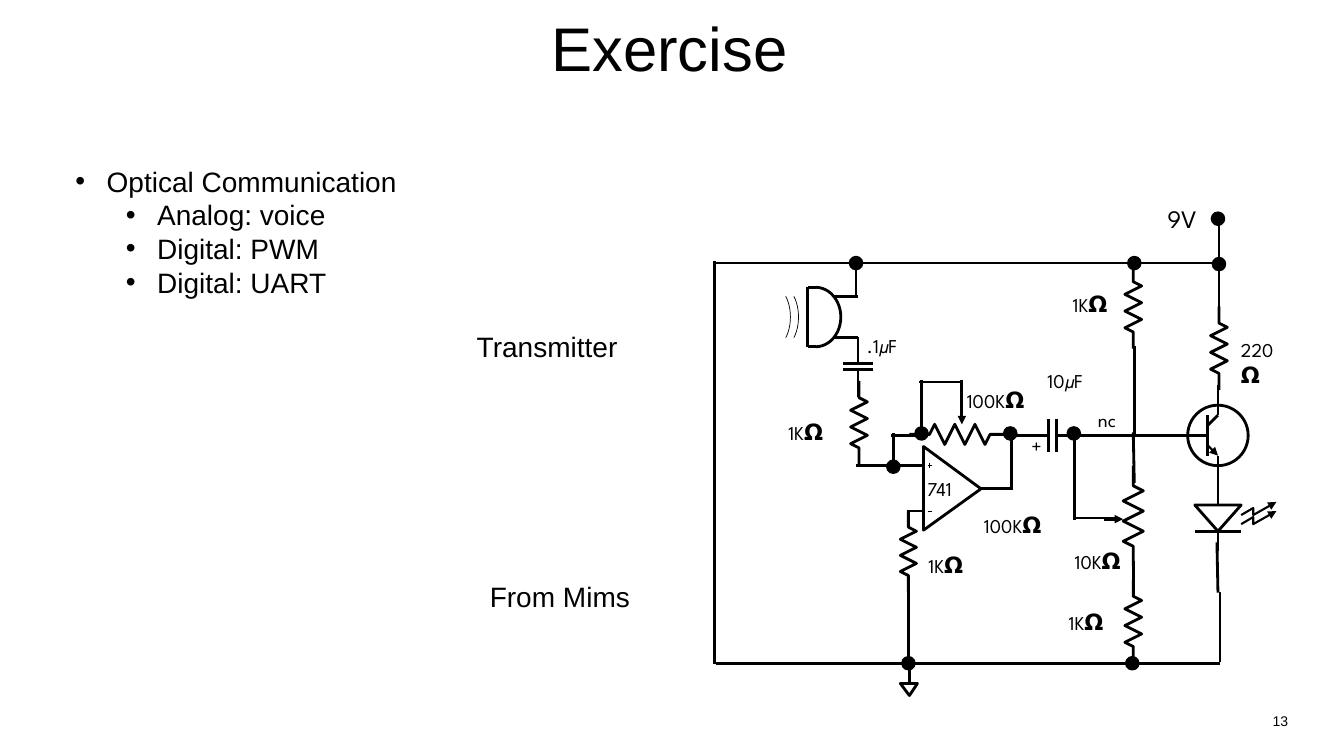
from dataclasses import dataclass
from itertools import groupby
from typing import Any

from lxml import etree
from pptx import Presentation
from pptx.dml.color import RGBColor
from pptx.enum.shapes import MSO_CONNECTOR, MSO_SHAPE
from pptx.enum.text import MSO_ANCHOR, MSO_AUTO_SIZE, PP_ALIGN
from pptx.oxml.ns import qn
from pptx.util import Pt

PX = 9144
COLORS = {"ink": "000000"}
BODY_FONT, LABEL_FONT = "Arial", "League Spartan"
SYMBOL_SIZES = {"𝜇": 12, "𝝮": 16}
LABEL_SIZE = 14
STRAIGHT = MSO_CONNECTOR.STRAIGHT
ELLIPSE, ARC, TRIANGLE = MSO_SHAPE.OVAL, MSO_SHAPE.ARC, MSO_SHAPE.ISOSCELES_TRIANGLE
CENTER, MIDDLE, TOP = PP_ALIGN.CENTER, MSO_ANCHOR.MIDDLE, MSO_ANCHOR.TOP
GROW = MSO_AUTO_SIZE.SHAPE_TO_FIT_TEXT


def ink():
    return RGBColor.from_string(COLORS["ink"])


def set_font(paragraph, name, size):
    paragraph.font.name = name
    paragraph.font.size = Pt(size)
    paragraph.font.color.rgb = ink()


def text_frame(shapes, box, anchor=TOP, wrap=True, grow=True):
    frame = shapes.add_textbox(*(v * PX for v in box)).text_frame
    frame.word_wrap = wrap
    frame.vertical_anchor = anchor
    if grow:
        frame.auto_size = GROW
    return frame


def stroke(shape, weight, arrow):
    shape.line.color.rgb = ink()
    shape.line.width = Pt(weight)
    if arrow:
        line = shape.element.spPr.find(qn("a:ln"))
        etree.SubElement(line, qn("a:tailEnd"), type="triangle")


@dataclass
class Pen:
    """Draws circuit parts relative to an origin."""
    shapes: Any
    left: int
    top: int

    def group(self, x, y):
        return Pen(self.shapes.add_group_shape().shapes, self.left + x, self.top + y)

    def at(self, x, y):
        return round((self.left + x) * PX), round((self.top + y) * PX)

    def wire(self, x1, y1, x2, y2, weight=2, arrow=False):
        wire = self.shapes.add_connector(STRAIGHT, *self.at(x1, y1), *self.at(x2, y2))
        stroke(wire, weight, arrow)
        etree.SubElement(wire.element.spPr, qn("a:effectLst"))

    def outline(self, points, close=False, weight=2, arrow=False):
        start, *rest = [self.at(*point) for point in points]
        builder = self.shapes.build_freeform(*start)
        builder.add_line_segments(rest, close=close)
        self.finish(builder.convert_to_shape(), weight, arrow)

    def preset(self, kind, x, y, width, height, weight=2, filled=False):
        shape = self.shapes.add_shape(kind, *self.at(x, y), width * PX, height * PX)
        return self.finish(shape, weight, filled=filled)

    def finish(self, shape, weight, arrow=False, filled=False):
        shape.shadow.inherit = False
        if filled:
            shape.fill.solid()
            shape.fill.fore_color.rgb = ink()
        else:
            shape.fill.background()
        stroke(shape, weight, arrow)
        return shape

    def arc(self, x, y, width, height, half_angle, weight=2):
        arc = self.preset(ARC, x, y, width, height, weight)
        arc.adjustments[0] = (360 - half_angle) * 0.6
        arc.adjustments[1] = half_angle * 0.6

    def label(self, x, y, width, height, text, size=LABEL_SIZE, wrap=False):
        box = (self.left + x, self.top + y, width, height)
        paragraph = text_frame(self.shapes, box, wrap=wrap).paragraphs[0]
        for run_size, letters in groupby(text, lambda c: SYMBOL_SIZES.get(c, size)):
            run = paragraph.add_run()
            run.text = "".join(letters)
            if run_size != size:
                run.font.size = Pt(run_size)
        set_font(paragraph, LABEL_FONT, size)


def resistor(pen, x, y, length, turned=False):
    half = length / 10
    sides = (0, 0, half, -half, half, -half, half, -half, 0, 0)
    steps = (0, 0.2, 0.25, 0.35, 0.45, 0.55, 0.65, 0.75, 0.8, 1)
    points = [(side, step * length) for side, step in zip(sides, steps)]
    pen.outline([(x - t, y + s) if turned else (x + s, y + t) for s, t in points])


def potentiometer(pen, x, y, wiper, turned=False):
    part = pen.group(x, y)
    resistor(part, 0, 0, 100, turned)
    ends = (-wiper, -29, -wiper, -10) if turned else (-29, wiper, -10, wiper)
    part.wire(*ends, arrow=True)


def capacitor(pen, x, y, lead, gap, plate, turned=False):
    part = pen.group(x, y)
    for side in (-1, 1):
        near, far = side * gap, side * lead
        part.wire(*((near, 0, far, 0) if turned else (0, near, 0, far)))
        part.wire(*((near, -plate, near, plate) if turned else (-plate, near, plate, near)))


def ground(pen, x, y):
    part = pen.group(x, y)
    part.wire(0, 0, 0, 21)
    part.outline([(0, 33), (8, 21), (-9, 21)], close=True)


def amplifier(pen, x, y):
    part = pen.group(x, y)
    for pin in ((0, -23, 16, -23), (0, 22, 16, 22), (73, 0, 89, 0)):
        part.wire(*pin)
    part.outline([(73, 0), (16, 41), (16, -42)], close=True)
    for sign in ((20, 22, 24, 22), (22, -26, 22, -21), (20, -23, 24, -23)):
        part.wire(*sign, weight=0.5)


def led(pen, x, y):
    part = pen.group(x, y)
    part.preset(TRIANGLE, -23, 0, 46, 26).rotation = 180
    for lead in ((0, 26, 0, 46), (0, 0, 0, -20), (-23, 26, 23, 26)):
        part.wire(*lead)
    for drop in (0, 9):
        ray = [(23, 10), (35, 3), (35, 10), (58, -3)]
        part.outline([(rx, ry + drop) for rx, ry in ray], weight=1.5, arrow=True)


def transistor(pen, x, y):
    part = pen.group(x, y)
    part.preset(ELLIPSE, -30, -30, 60, 60)
    for lead in ((0, -50, 0, -20), (0, 20, 0, 50), (-10, -20, -10, 20), (0, -20, -10, -10)):
        part.wire(*lead)
    part.wire(-10, 10, 0, 20, weight=1.5, arrow=True)
    part.wire(-10, 0, -40, 0, weight=1.75)


def microphone(pen, x, y):
    part = pen.group(x, y)
    part.arc(-17, 0, 50, 59, 90)
    for line in ((0, 0, 0, 59), (8, 59, 0, 59), (8, 0, 0, 0), (26, 9, 50, 9), (25, 50, 50, 50)):
        part.wire(*line)
    for wave in (-42, -50):
        part.arc(wave, 0, 33, 59, 60, weight=0.5)


def circuit(shapes, left, top):
    pen = Pen(shapes, left, top)
    for wire in ((8, 61, 508, 61), (9, 459, 9, 59), (10, 458, 510, 458),
                 (383, 232, 423, 232), (413, 232, 473, 232), (366, 316, 366, 226),
                 (425, 279, 424, 229), (303, 286, 303, 232), (424, 391, 424, 357),
                 (508, 388, 507, 338), (366, 314, 406, 314), (273, 285, 303, 285),
                 (149, 262, 209, 262), (149, 93, 149, 59), (509, 116, 509, 60),
                 (184, 232, 214, 232), (186, 260, 186, 230), (212, 179, 254, 179),
                 (214, 231, 214, 177), (254, 207, 254, 177), (509, 75, 509, 19),
                 (510, 457, 510, 387), (201, 454, 201, 384), (425, 233, 425, 143)):
        pen.wire(*wire)
    for x, y, length in ((509, 104, 83), (201, 307, 80), (152, 178, 83),
                         (424, 375, 83), (424, 63, 83)):
        resistor(pen, x, y, length)
    potentiometer(pen, 424, 262, 53)
    potentiometer(pen, 302, 231, 48, turned=True)
    capacitor(pen, 151, 164, 30, 3, 15)
    capacitor(pen, 344, 232, 42, 4, 16, turned=True)
    ground(pen, 202, 457)
    amplifier(pen, 200, 285)
    led(pen, 508, 301)
    transistor(pen, 508, 232)
    microphone(pen, 101, 85)
    for x, y in ((302, 230), (365, 230), (201, 458), (508, 17), (214, 230),
                 (425, 61), (149, 61), (509, 62), (423, 458), (186, 263)):
        pen.preset(ELLIPSE, x - 6, y - 6, 12, 12, 1.75, filled=True)
    for x, y, width, text in ((211, 342, 59, "1K𝝮"), (72, 210, 59, "1K𝝮"), (249, 178, 81, "100K𝝮"),
                              (266, 302, 81, "100K𝝮"), (350, 398, 59, "1K𝝮"),
                              (356, 338, 70, "10K𝝮"), (354, 83, 59, "1K𝝮")):
        pen.label(x, y, width, 37, text)
    for x, y, width, text in ((329, 161, 61, "10𝜇F"), (150, 126, 55, ".1𝜇F"), (210, 268, 53, "741"),
                              (379, 200, 45, "nc"), (313, 226, 32, "+")):
        pen.label(x, y, width, 34, text)
    pen.label(521, 130, 69, 37, "220𝝮", wrap=True)
    pen.label(448, -3, 52, 40, "9V", size=18)


def centered_line(shapes, box, text, size, spacing=None):
    paragraph = text_frame(shapes, box, MIDDLE, grow=False).paragraphs[0]
    paragraph.text, paragraph.alignment, paragraph.line_spacing = text, CENTER, spacing
    set_font(paragraph, BODY_FONT, size)


def caption(shapes, box, text):
    paragraph = text_frame(shapes, box).paragraphs[0]
    paragraph.text = text
    set_font(paragraph, BODY_FONT, 20)


def topics(shapes, box, items):
    frame = text_frame(shapes, box)
    for index, (level, text) in enumerate(items):
        paragraph = frame.add_paragraph() if index else frame.paragraphs[0]
        paragraph.text, paragraph.level = text, level
        props = paragraph._p.get_or_add_pPr()
        props.set("marL", str((31 + 50 * level) * PX))
        props.set("indent", str(-31 * PX))
        etree.SubElement(props, qn("a:buFont"), typeface=BODY_FONT)
        etree.SubElement(props, qn("a:buChar"), char="•")
        set_font(paragraph, BODY_FONT, 20)


def main():
    deck = Presentation()
    deck.slide_width, deck.slide_height = 1333 * PX, 750 * PX
    shapes = deck.slides.add_slide(deck.slide_layouts[6]).shapes
    centered_line(shapes, (14, 4, 1300, 95), "Exercise", 44, 0.9)
    centered_line(shapes, (1237, 695, 66, 40), "13", 10)
    topics(shapes, (65, 158, 1197, 145), [(0, "Optical Communication"), (1, "Analog: voice"),
                                          (1, "Digital: PWM"), (1, "Digital: UART")])
    circuit(shapes, 700, 200)
    caption(shapes, (463, 322, 267, 44), "Transmitter")
    caption(shapes, (476, 570, 267, 44), "From Mims")
    deck.save("out.pptx")


if __name__ == "__main__":
    main()
